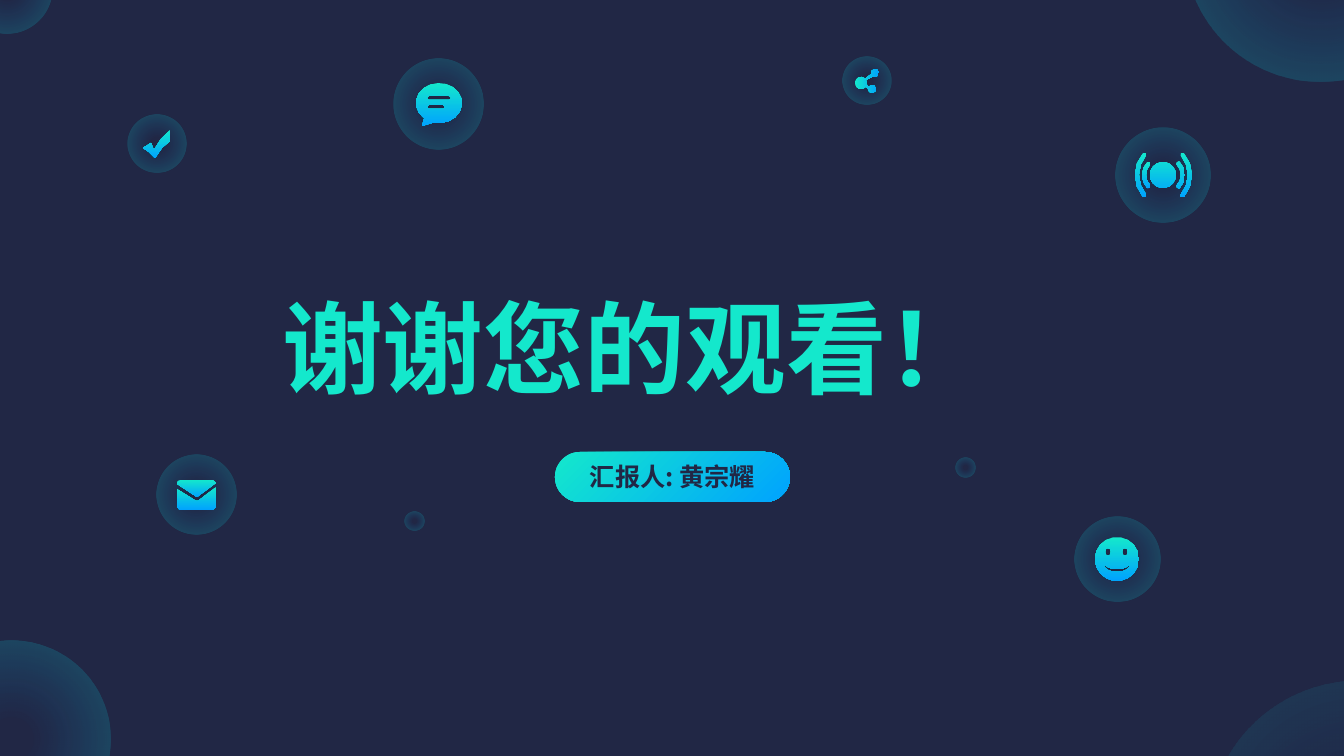
"""Build the closing thank-you slide with glowing icon bubbles."""
from dataclasses import dataclass
from math import cos, radians, sin

from lxml.etree import SubElement
from pptx import Presentation
from pptx.dml.color import RGBColor
from pptx.dml.fill import FillFormat
from pptx.enum.shapes import MSO_SHAPE
from pptx.enum.text import MSO_ANCHOR, MSO_AUTO_SIZE, PP_ALIGN
from pptx.oxml import parse_xml
from pptx.oxml.ns import nsdecls, qn
from pptx.shapes.autoshape import Shape
from pptx.slide import Slide
from pptx.text.text import TextFrame
from pptx.util import Emu, Pt

PX = 914400 / 100.8
FONT = "Noto Sans CJK SC"
COLORS = {"navy": "212745", "teal": "14E8CC", "blue": "00A3FE"}
DOWN, RIGHT, DIAGONAL = 270, 0, 315

Contour = list[tuple[float, float]]


@dataclass(frozen=True)
class Halo:
    left: int
    top: int
    diameter: int
    opacity: int = 27


@dataclass(frozen=True)
class Icon:
    contours: list[Contour]
    angle: int = DOWN


def px(length: float) -> Emu:
    """Turn pixels into EMU."""
    return Emu(round(length * PX))


def rgb(name: str) -> RGBColor:
    """Look up a named colour."""
    return RGBColor.from_string(COLORS[name])


def arc(cx: float, cy: float, rx: float, ry: float,
        start: float = 0, end: float = 360) -> Contour:
    """Sample an elliptical arc, with angles in degrees clockwise from the right."""
    step = 45 if rx < 6 else 20
    count = max(1, round(abs(end - start) / step))
    angles = [radians(start + (end - start) * i / count) for i in range(count + 1)]
    return [(cx + rx * cos(a), cy + ry * sin(a)) for a in angles]


def capsule(left: int, right: int, middle: int, radius: int) -> Contour:
    """Outline a horizontal bar with round ends."""
    return (arc(left + radius, middle, radius, radius, 90, 270)
            + arc(right - radius, middle, radius, radius, -90, 90))


def wave(cx: int, cy: int, radius: int, facing: int, spread: int) -> Contour:
    """Outline a curved band four pixels wide with rounded tips."""
    first, last = facing - spread, facing + spread
    outer, inner = radius + 2, radius - 2
    tip = arc(cx, cy, radius, radius, last + 4, last + 4)[:1]
    tail = arc(cx, cy, radius, radius, first - 4, first - 4)[:1]
    return (arc(cx, cy, outer, outer, first, last) + tip
            + arc(cx, cy, inner, inner, last, first) + tail)


ICON_HALOS = [
    Halo(128, 115, 58), Halo(394, 59, 90), Halo(157, 455, 79),
    Halo(843, 57, 48), Halo(1075, 517, 85), Halo(1116, 128, 95),
]
BACKDROP_HALOS = [
    Halo(-38, -56, 90), Halo(-87, 641, 197), Halo(1185, -189, 271),
    Halo(405, 512, 19), Halo(1208, 681, 303, 13), Halo(956, 458, 19),
]
CHECK = Icon([[(151, 143), (154, 150), (161, 139), (170, 130), (170, 141),
               (162, 148), (155, 158), (149, 152), (143, 148)]])
SPEECH = Icon([arc(439, 103, 23, 20, 104, -230) + [(422, 126)],
               capsule(427, 451, 98, 2), capsule(427, 445, 107, 2)])
FLAP = Icon([[(197, 497), (216, 483), (213, 480), (181, 480), (178, 481), (177, 484)]])
ENVELOPE = Icon([[(177, 489), (196, 501), (198, 501), (216, 487), (216, 507),
                  (213, 510), (180, 510), (177, 507)]])
SHARE = Icon([arc(861, 83, 6, 6, 35, 315) + arc(875, 73, 4, 4, 165, 480)
              + [(866, 80), (867, 85)] + arc(872, 89, 4, 4, 210, 540)], RIGHT)
SMILE = Icon([arc(1117, 559, 22, 22), arc(1108, 552, 3, 4), arc(1125, 552, 3, 4),
              arc(1117, 565, 13, 7, 0, 180) + arc(1117, 564, 12, 5, 180, 0)])
INNER_WAVE = Icon([wave(1161, 175, 17, 180, 45)])
MIDDLE_WAVES = Icon([wave(1169, 175, 32, 180, 40), wave(1166, 175, 17, 0, 45)])
OUTER_WAVE = Icon([wave(1158, 175, 32, 0, 40), arc(1163, 175, 13, 13)])
ICONS = [CHECK, SPEECH, FLAP, ENVELOPE, SHARE, SMILE,
         INNER_WAVE, MIDDLE_WAVES, OUTER_WAVE]


def blend(fill: FillFormat, angle: int) -> None:
    """Fill with the teal-to-blue linear gradient."""
    fill.gradient()
    fill.gradient_angle = angle
    for stop, position, name in zip(fill.gradient_stops, (0, 1), ("teal", "blue")):
        stop.position = position
        stop.color.rgb = rgb(name)


def flatten(shape: Shape) -> None:
    """Remove the outline and shadow."""
    shape.line.fill.background()
    shape.shadow.inherit = False


def draw_halo(slide: Slide, halo: Halo) -> None:
    """Draw a circle that glows towards its rim."""
    glow = slide.shapes.add_shape(MSO_SHAPE.OVAL, px(halo.left), px(halo.top),
                                  px(halo.diameter), px(halo.diameter))
    flatten(glow)
    stops = "".join(
        f'<a:gs pos="{position}000"><a:srgbClr val="{COLORS[name]}">'
        f'<a:alpha val="{opacity}000"/></a:srgbClr></a:gs>'
        for position, name, opacity in ((15, "blue", 0), (100, "teal", halo.opacity)))
    gradient = parse_xml(
        f'<a:gradFill {nsdecls("a")} rotWithShape="1"><a:gsLst>{stops}</a:gsLst>'
        '<a:path path="circle"><a:fillToRect l="50000" t="50000" r="50000" b="50000"/>'
        '</a:path></a:gradFill>')
    glow.element.spPr.find(qn("a:prstGeom")).addnext(gradient)


def draw_icon(slide: Slide, icon: Icon) -> None:
    """Draw an icon as one outline whose inner contours are holes."""
    precision = 100
    scaled = [[(x * precision, y * precision) for x, y in contour]
              for contour in icon.contours]
    builder = slide.shapes.build_freeform(*scaled[0][0], scale=PX / precision)
    for index, contour in enumerate(scaled):
        if index:
            builder.move_to(*contour[0])
        builder.add_line_segments(contour[1:], close=True)
    outline = builder.convert_to_shape()
    flatten(outline)
    blend(outline.fill, icon.angle)


def write(frame: TextFrame, text: str, size: int, align: PP_ALIGN) -> FillFormat:
    """Set one bold paragraph and return the fill of its font."""
    frame.word_wrap = True
    frame.auto_size = MSO_AUTO_SIZE.SHAPE_TO_FIT_TEXT
    frame.vertical_anchor = MSO_ANCHOR.TOP
    frame.text = text
    paragraph = frame.paragraphs[0]
    paragraph.alignment = align
    font = paragraph.font
    font.size, font.bold, font.name = Pt(size), True, FONT
    properties = paragraph._p.pPr.find(qn("a:defRPr"))
    SubElement(properties, qn("a:ea")).set("typeface", FONT)
    return font.fill


def main() -> None:
    """Assemble and save the slide."""
    deck = Presentation()
    deck.slide_width, deck.slide_height = px(1344), px(756)
    slide = deck.slides.add_slide(deck.slide_layouts[5])
    slide.background.fill.solid()
    slide.background.fill.fore_color.rgb = rgb("navy")

    thanks = slide.shapes.title
    thanks.left, thanks.top, thanks.width, thanks.height = map(px, (272, 281, 913, 132))
    blend(write(thanks.text_frame, "谢谢您的观看！", 72, PP_ALIGN.JUSTIFY), DOWN)

    for halo in ICON_HALOS:
        draw_halo(slide, halo)
    for icon in ICONS:
        draw_icon(slide, icon)

    pill = slide.shapes.add_shape(MSO_SHAPE.ROUNDED_RECTANGLE, *map(px, (555, 452, 235, 50)))
    pill.adjustments[0] = 0.5
    flatten(pill)
    blend(pill.fill, DIAGONAL)
    presenter = slide.shapes.add_textbox(*map(px, (563, 456, 219, 40)))
    ink = write(presenter.text_frame, "汇报人: 黄宗耀", 18, PP_ALIGN.CENTER)
    ink.solid()
    ink.fore_color.rgb = rgb("navy")

    for halo in BACKDROP_HALOS:
        draw_halo(slide, halo)
    deck.save("out.pptx")


if __name__ == "__main__":
    main()
